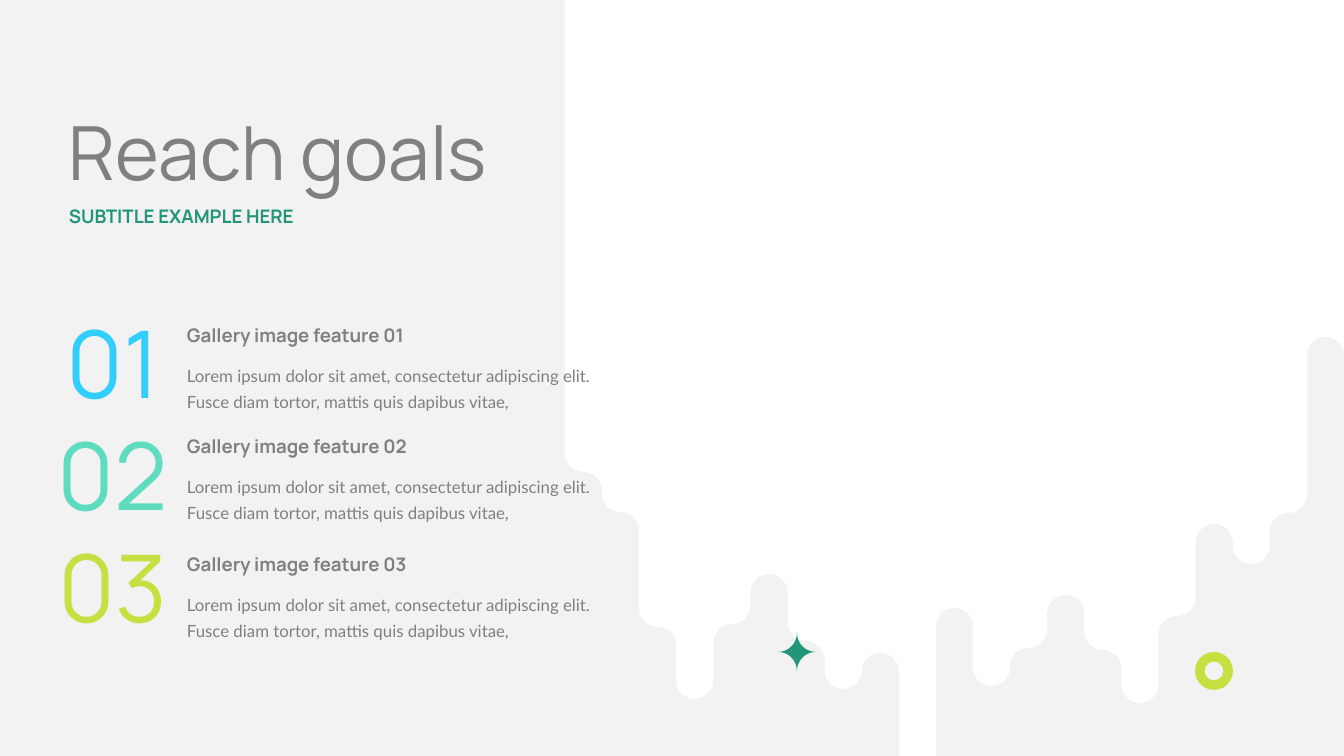
import math
from dataclasses import dataclass

import lxml.etree
import pptx
import pptx.dml.color
import pptx.enum.shapes
import pptx.enum.text
import pptx.oxml.ns
import pptx.util

EMU_PER_PX = 914400 / 134.4
WIDTH, HEIGHT = 1344, 756
COLORS = {
    "background": "F2F2F2", "white": "FFFFFF", "text": "808080",
    "teal": "22957B", "blue": "31CFFF", "mint": "5FDBBF", "lime": "C5E041",
}
ALIGN = pptx.enum.text.PP_ALIGN
ANCHOR = pptx.enum.text.MSO_ANCHOR


@dataclass
class Style:
    size: float
    color: str
    font: str = "Manrope"
    bold: bool = False
    spacing: float | pptx.util.Pt = 0.9
    before: float = 7.5
    insets: tuple[int, int, int, int] = (0, 11, 0, 11)
    align: ALIGN = ALIGN.LEFT
    anchor: ANCHOR = ANCHOR.TOP


@dataclass
class Feature:
    number: str
    color: str
    top: int


FEATURES = [
    Feature("01", "blue", 315),
    Feature("02", "mint", 426),
    Feature("03", "lime", 544),
]
DESCRIPTION = ("Lorem ipsum dolor sit amet, consectetur adipiscing elit. "
               "Fusce diam tortor, mattis quis dapibus vitae,")

# Lower edge of the white area: one level per equally wide column
DRIP_LEFT = 565
DRIP_LEVELS = [472, 512, 627, 699, 624, 574, 641, 689, 653, 777, 608,
               686, 648, 595, 650, 703, 616, 524, 564, 513, 337]


def px(value: float) -> pptx.util.Emu:
    return pptx.util.Emu(round(value * EMU_PER_PX))


def rgb(name: str) -> pptx.dml.color.RGBColor:
    return pptx.dml.color.RGBColor.from_string(COLORS[name])


def paint(sp, color: str) -> None:
    sp.shadow.inherit = False
    sp.fill.solid()
    sp.fill.fore_color.rgb = rgb(color)
    sp.line.fill.background()


def write(sp, text: str, box: tuple[int, int, int, int], style: Style) -> None:
    """Place a text shape and format its single paragraph."""
    sp.left, sp.top, sp.width, sp.height = map(px, box)
    tf = sp.text_frame
    tf.text = text
    tf.word_wrap = True
    tf.auto_size = pptx.enum.text.MSO_AUTO_SIZE.NONE
    tf.vertical_anchor = style.anchor
    (tf.margin_left, tf.margin_top,
     tf.margin_right, tf.margin_bottom) = map(px, style.insets)
    p = tf.paragraphs[0]
    p.alignment = style.align
    p.line_spacing = style.spacing
    p.space_before = pptx.util.Pt(style.before)
    font = p.runs[0].font
    font.name = style.font
    font.size = pptx.util.Pt(style.size)
    font.bold = style.bold
    font.color.rgb = rgb(style.color)


def add_text(slide, text: str, box: tuple[int, int, int, int], style: Style) -> None:
    write(slide.shapes.add_textbox(0, 0, 0, 0), text, box, style)


def quarter(cx: float, cy: float, rx: float, ry: float,
            start: int, end: int, steps: int = 10) -> list[tuple[float, float]]:
    """Points of an arc from start to end degrees; signed radii mirror it."""
    angles = [math.radians(start + (end - start) * i / steps) for i in range(steps + 1)]
    return [(cx + rx * math.cos(a), cy + ry * math.sin(a)) for a in angles]


def add_outline(slide, points: list[tuple[float, float]], color: str) -> None:
    points = [(px(x), px(y)) for x, y in points]
    builder = slide.shapes.build_freeform(*points[0], scale=1.0)
    builder.add_line_segments(points[1:], close=True)
    paint(builder.convert_to_shape(), color)


def drip_points() -> list[tuple[float, float]]:
    """Each column turns towards the level of its neighbour on either side."""
    r = (WIDTH - DRIP_LEFT) / len(DRIP_LEVELS) / 2
    levels = [0, *DRIP_LEVELS, HEIGHT]
    points = [(WIDTH, 0), (DRIP_LEFT, 0)]
    for i, level in enumerate(DRIP_LEVELS):
        middle = DRIP_LEFT + (2 * i + 1) * r
        enter = math.copysign(r, levels[i] - level)
        leave = math.copysign(r, levels[i + 2] - level)
        points += quarter(middle, level + enter, -r, -enter, 0, 90)
        points += quarter(middle, level + leave, r, -leave, 90, 0)
    return points


def add_sparkle(slide, cx: int, cy: int, r: int) -> None:
    for side in (-1, 1):
        upper = quarter(cx + side * r, cy - r, -side * r, r, 0, 90)
        lower = quarter(cx + side * r, cy + r, -side * r, -r, 90, 0)
        add_outline(slide, upper + lower, "teal")


def main() -> None:
    prs = pptx.Presentation()
    prs.slide_width, prs.slide_height = px(WIDTH), px(HEIGHT)
    slide = prs.slides.add_slide(prs.slide_layouts[1])
    slide.background.fill.solid()
    slide.background.fill.fore_color.rgb = rgb("background")

    # Dripping white area and ornaments
    add_outline(slide, drip_points(), "white")
    add_sparkle(slide, 797, 652, 19)
    ring = slide.shapes.add_shape(pptx.enum.shapes.MSO_SHAPE.DONUT,
                                  px(1195), px(652), px(38), px(38))
    ring.adjustments[0] = 0.25
    paint(ring, "lime")

    # Title and subtitle
    insets = (0, 7, 13, 7)
    write(slide.shapes.title, "Reach goals", (69, 109, 603, 85),
          Style(40, "text", before=10, insets=insets))
    subtitle = slide.placeholders[1]
    write(subtitle, "SUBTITLE EXAMPLE HERE", (69, 200, 603, 32),
          Style(10, "teal", bold=True, before=10, insets=insets))
    pPr = subtitle.text_frame.paragraphs[0]._p.get_or_add_pPr()
    pPr.set("marL", "0")
    pPr.set("indent", "0")
    lxml.etree.SubElement(pPr, pptx.oxml.ns.qn("a:buNone"))

    # Numbered features
    heading = Style(10, "text", bold=True)
    body = Style(9, "text", font="Lato", spacing=pptx.util.Pt(14), insets=(0, 0, 0, 0))
    for i, feature in enumerate(FEATURES):
        add_text(slide, f"Gallery image feature {feature.number}",
                 (187, feature.top, 434, 44), heading)
        add_text(slide, DESCRIPTION, (187, feature.top + 45, 434, 52), body)
        add_text(slide, feature.number, (54, 323 + 112 * i, 118, 90),
                 Style(50, feature.color, align=ALIGN.CENTER, anchor=ANCHOR.MIDDLE))

    prs.save("out.pptx")


if __name__ == "__main__":
    main()
